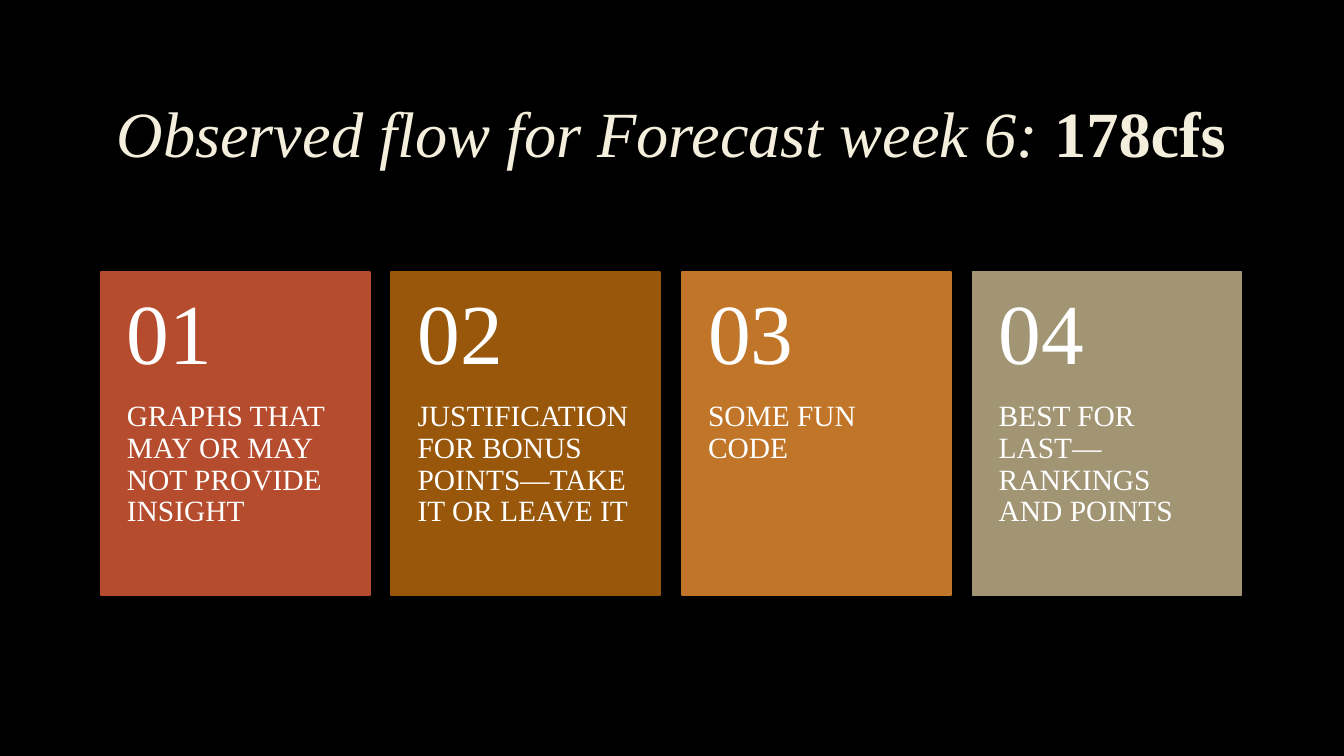
from lxml import etree
from pptx import Presentation
from pptx.dml.color import RGBColor
from pptx.enum.shapes import MSO_SHAPE
from pptx.enum.text import MSO_ANCHOR, MSO_AUTO_SIZE, PP_ALIGN
from pptx.oxml.ns import qn
from pptx.util import Cm, Pt

RECT = MSO_SHAPE.RECTANGLE
TOP, MIDDLE = MSO_ANCHOR.TOP, MSO_ANCHOR.MIDDLE
CENTER = PP_ALIGN.CENTER
NO_FIT = MSO_AUTO_SIZE.NONE

FONT = "Times New Roman"
COLORS = {
    "back": "000000", "title": "F4EEDC", "edge": "404040", "text": "FFFFFF",
    "red": "B54C2D", "brown": "99570C", "orange": "C17529", "sand": "A19574",
}
CARDS = [
    ("red", "GRAPHS THAT MAY OR MAY NOT PROVIDE INSIGHT"),
    ("brown", "JUSTIFICATION FOR BONUS POINTS—TAKE IT OR LEAVE IT"),
    ("orange", "SOME FUN CODE"),
    ("sand", "BEST FOR LAST—RANKINGS AND POINTS"),
]


def rgb(name):
    return RGBColor.from_string(COLORS[name])


def style(run, size, color):
    font = run.font
    font.name, font.size = FONT, Pt(size)
    font.color.rgb = rgb(color)


def outline(run):
    """Give the letters a faint thin edge."""
    props = run.font._element
    line = etree.Element(qn("a:ln"), w=str(Pt(0.75)))
    fill = etree.SubElement(line, qn("a:solidFill"))
    tint = etree.SubElement(fill, qn("a:srgbClr"), val=COLORS["edge"])
    etree.SubElement(tint, qn("a:alpha"), val="10000")
    props.insert(0, line)


def add_title(slide, left, top, width, height):
    title = slide.shapes.title
    title.left, title.top, title.width, title.height = left, top, width, height
    frame = title.text_frame
    frame.auto_size, frame.vertical_anchor = NO_FIT, MIDDLE
    para = frame.paragraphs[0]
    para.alignment, para.line_spacing = CENTER, 0.9
    for text, strong in (("Observed flow for Forecast week 6: ", False),
                         ("178cfs", True)):
        run = para.add_run()
        run.text = text
        style(run, 46, "title")
        run.font.bold, run.font.italic = strong, not strong
        outline(run)


def add_label(shapes, box, text, size, anchor, pads):
    frame = shapes.add_textbox(*box).text_frame
    frame.word_wrap, frame.vertical_anchor = True, anchor
    frame.margin_left = frame.margin_right = Cm(0.66)
    frame.margin_top, frame.margin_bottom = pads
    para = frame.paragraphs[0]
    para.text, para.line_spacing = text, 0.9
    style(para.runs[0], size, "text")


def add_card(shapes, left, top, width, height, color, number, text):
    # Panel
    panel = shapes.add_shape(RECT, left, top, width, height)
    panel.shadow.inherit = False
    panel.fill.solid()
    panel.fill.fore_color.rgb = panel.line.color.rgb = rgb(color)
    panel.line.width = Pt(1.25)
    # Text below, number above
    head = int(height * 0.4)
    add_label(shapes, (left, top + head, width, height - head),
              text, 21, TOP, (0, Cm(0.91)))
    add_label(shapes, (left, top, width, head),
              number, 61, MIDDLE, (Cm(0.46), Cm(0.46)))


def add_cards(slide, left, top, width, height):
    shapes = slide.shapes.add_group_shape().shapes
    wide = Cm(6.78)
    step = (width - wide) // (len(CARDS) - 1)
    for i, (color, text) in enumerate(CARDS):
        add_card(shapes, left + i * step, top, wide, height,
                 color, f"{i + 1:02}", text)


def main():
    deck = Presentation()
    deck.slide_width, deck.slide_height = Cm(33.87), Cm(19.05)
    slide = deck.slides.add_slide(deck.slide_layouts[5])
    back = slide.background.fill
    back.solid()
    back.fore_color.rgb = rgb("back")
    left, width = Cm(2.54), Cm(28.75)
    add_title(slide, left, Cm(1.7), width, Cm(3.5))
    add_cards(slide, left, Cm(6.86), width, Cm(8.13))
    deck.save("out.pptx")


if __name__ == "__main__":
    main()
